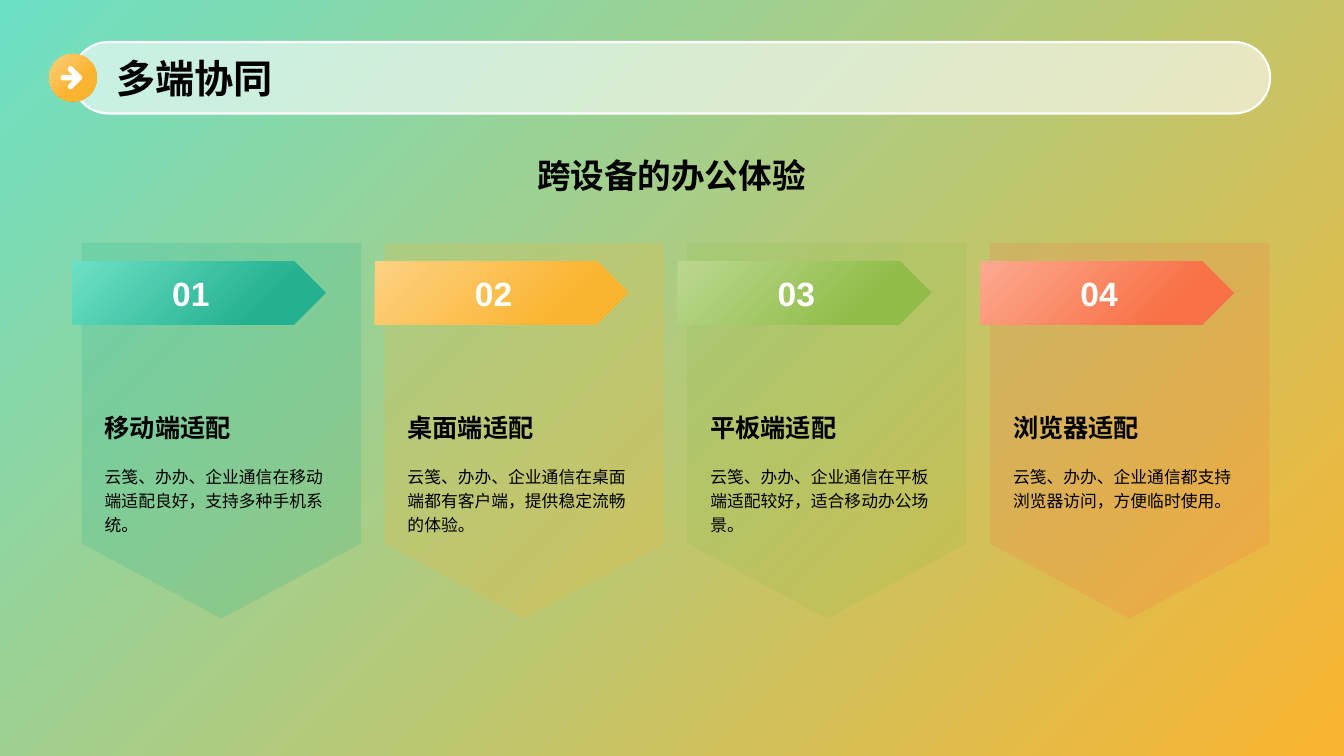
"""Build a slide on office work across four kinds of device."""
import dataclasses
import math

import lxml.etree
import pptx
import pptx.dml.color
import pptx.dml.fill
import pptx.enum.shapes
import pptx.enum.text
import pptx.oxml.ns
import pptx.shapes.autoshape
import pptx.slide
import pptx.text.text
import pptx.util

Cm = pptx.util.Cm
Pt = pptx.util.Pt
qn = pptx.oxml.ns.qn
ShapeKind = pptx.enum.shapes.MSO_SHAPE
Align = pptx.enum.text.PP_ALIGN
Anchor = pptx.enum.text.MSO_ANCHOR

CHINESE = "Noto Sans CJK SC"
PITCH = 7.63
WHITE = "FFFFFF"
BLACK = "000000"


@dataclasses.dataclass(frozen=True)
class Box:
    left: float
    top: float
    width: float
    height: float

    def shifted(self, distance: float) -> "Box":
        return dataclasses.replace(self, left=self.left + distance)

    def lengths(self) -> list[int]:
        return [Cm(value) for value in dataclasses.astuple(self)]


@dataclasses.dataclass(frozen=True)
class TextStyle:
    size: float
    bold: bool = True
    color: str = BLACK
    font: str = CHINESE
    align: Align = Align.LEFT
    anchor: Anchor = Anchor.MIDDLE
    spacing: float = 1.0
    wrap: bool = True


@dataclasses.dataclass(frozen=True)
class Device:
    number: str
    heading: str
    body: str
    light: str
    strong: str


TITLE = TextStyle(28)
SUBTITLE = TextStyle(24, align=Align.CENTER)
NUMBER = TextStyle(24, color=WHITE, font="Arial", align=Align.CENTER, wrap=False)
HEADING = TextStyle(18, anchor=Anchor.BOTTOM)
BODY = TextStyle(12, bold=False, anchor=Anchor.TOP, spacing=1.2)

CARD_BOX = Box(2.06, 6.12, 7.04, 9.47)
HEADING_BOX = Box(2.39, 9.04, 6.38, 2.24)
BODY_BOX = Box(2.39, 11.53, 6.38, 3.33)
NUMBER_BOX = Box(1.82, 6.58, 6.38, 1.6)

DEVICES = [
    Device("01", "移动端适配", "云笺、办办、企业通信在移动端适配良好，支持多种手机系统。", "6CE0C5", "25B190"),
    Device("02", "桌面端适配", "云笺、办办、企业通信在桌面端都有客户端，提供稳定流畅的体验。", "FDD283", "FBB430"),
    Device("03", "平板端适配", "云笺、办办、企业通信在平板端适配较好，适合移动办公场景。", "BCD791", "90BD47"),
    Device("04", "浏览器适配", "云笺、办办、企业通信都支持浏览器访问，方便临时使用。", "FBAA90", "F97146"),
]


def rgb(color: str) -> pptx.dml.color.RGBColor:
    return pptx.dml.color.RGBColor.from_string(color)


def set_gradient(fill: pptx.dml.fill.FillFormat, start: str, end: str, end_position: float) -> None:
    fill.gradient()
    fill.gradient_angle = 315
    for stop, color, position in zip(fill.gradient_stops, (start, end), (0, end_position)):
        stop.color.rgb = rgb(color)
        stop.position = position


def set_solid(shape: pptx.shapes.autoshape.Shape, color: str, opacity: int = 100) -> None:
    shape.fill.solid()
    shape.fill.fore_color.rgb = rgb(color)
    if opacity < 100:
        color_element = shape.element.spPr.find(qn("a:solidFill")).find(qn("a:srgbClr"))
        lxml.etree.SubElement(color_element, qn("a:alpha"), val=str(opacity * 1000))


def make_plain(shape: pptx.shapes.autoshape.Shape) -> None:
    shape.shadow.inherit = False
    shape.line.fill.background()


def add_shape(slide: pptx.slide.Slide, kind: ShapeKind, box: Box) -> pptx.shapes.autoshape.Shape:
    shape = slide.shapes.add_shape(kind, *box.lengths())
    make_plain(shape)
    return shape


def write_text(frame: pptx.text.text.TextFrame, text: str, style: TextStyle) -> None:
    paragraph = frame.paragraphs[0]
    run = paragraph.add_run()
    run.text = text
    run.font.color.rgb = rgb(style.color)
    formats = {
        frame: {
            "auto_size": pptx.enum.text.MSO_AUTO_SIZE.NONE,
            "word_wrap": style.wrap,
            "vertical_anchor": style.anchor,
        },
        paragraph: {"alignment": style.align, "line_spacing": style.spacing},
        run.font: {"name": style.font, "size": Pt(style.size), "bold": style.bold},
    }
    for target, values in formats.items():
        for name, value in values.items():
            setattr(target, name, value)
    lxml.etree.SubElement(run._r.get_or_add_rPr(), qn("a:ea"), typeface=style.font)


def add_text(slide: pptx.slide.Slide, text: str, box: Box, style: TextStyle) -> None:
    write_text(slide.shapes.add_textbox(*box.lengths()).text_frame, text, style)


def arc(x: float, y: float, radius: float, start: int, end: int) -> list[tuple[float, float]]:
    angles = [math.radians(angle) for angle in range(start, end + 1, 15)]
    return [(x + radius * math.cos(angle), y + radius * math.sin(angle)) for angle in angles]


def add_arrow(slide: pptx.slide.Slide) -> None:
    tail, tip, middle, barb, radius = 1.6, 2.0, 1.96, 0.22, 0.07
    corner = tip - radius * (1 + math.sqrt(2))
    points = [
        *arc(tail, middle, radius, 90, 270),
        (corner, middle - radius),
        *arc(tip - barb, middle - barb, radius, 135, 315),
        *arc(tip, middle, radius, -45, 45),
        *arc(tip - barb, middle + barb, radius, 45, 225),
        (corner, middle + radius),
    ]
    outline = [(Cm(x), Cm(y)) for x, y in points]
    builder = slide.shapes.build_freeform(*outline[0])
    builder.add_line_segments(outline[1:], close=True)
    arrow = builder.convert_to_shape()
    make_plain(arrow)
    set_solid(arrow, WHITE)


def add_header(slide: pptx.slide.Slide) -> None:
    bar = add_shape(slide, ShapeKind.ROUNDED_RECTANGLE, Box(1.83, 1.06, 30.18, 1.8))
    bar.adjustments[0] = 0.5
    set_solid(bar, WHITE, 60)
    bar.line.color.rgb = rgb(WHITE)
    bar.line.width = Pt(1.5)
    badge = add_shape(slide, ShapeKind.OVAL, Box(1.24, 1.36, 1.2, 1.2))
    set_gradient(badge.fill, "FDD283", "FBB430", 0.6)
    add_arrow(slide)
    title = slide.shapes.title
    for name, value in zip(("left", "top", "width", "height"), Box(2.67, 1.17, 28.8, 1.6).lengths()):
        setattr(title, name, value)
    write_text(title.text_frame, "多端协同", TITLE)
    slide.shapes.element.append(title.element)


def add_device(slide: pptx.slide.Slide, device: Device, shift: float) -> None:
    card = add_shape(slide, ShapeKind.FLOWCHART_OFFPAGE_CONNECTOR, CARD_BOX.shifted(shift))
    set_solid(card, device.strong, 20)
    add_text(slide, device.heading, HEADING_BOX.shifted(shift), HEADING)
    add_text(slide, device.body, BODY_BOX.shifted(shift), BODY)
    banner = add_shape(slide, ShapeKind.PENTAGON, NUMBER_BOX.shifted(shift))
    set_gradient(banner.fill, device.light, device.strong, 0.75)
    write_text(banner.text_frame, device.number, NUMBER)


def main() -> None:
    presentation = pptx.Presentation()
    presentation.slide_width = Cm(33.87)
    presentation.slide_height = Cm(19.05)
    slide = presentation.slides.add_slide(presentation.slide_layouts.get_by_name("Title Only"))
    set_gradient(slide.background.fill, "6CE0C5", "FBB430", 1)
    add_header(slide)
    for index, device in enumerate(DEVICES):
        add_device(slide, device, index * PITCH)
    add_text(slide, "跨设备的办公体验", Box(1.83, 3.45, 30.18, 1.93), SUBTITLE)
    presentation.save("out.pptx")


if __name__ == "__main__":
    main()
